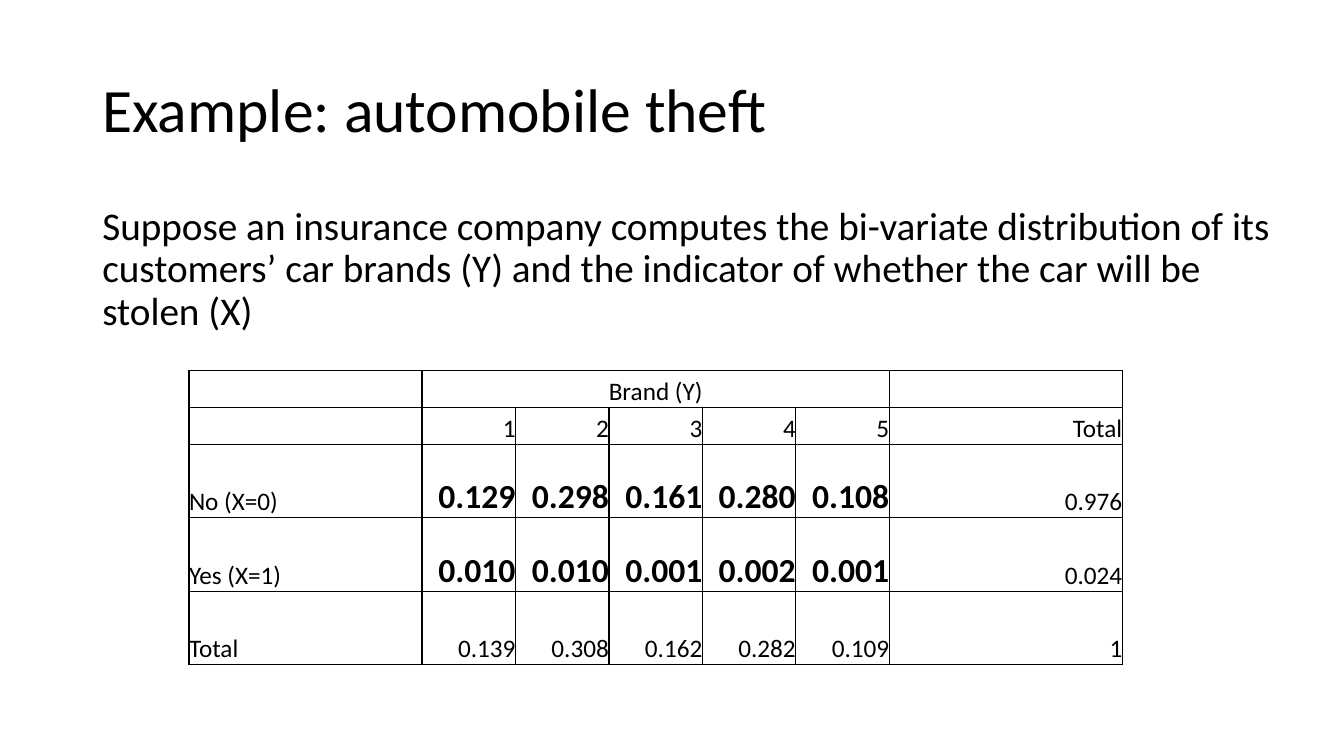
"""Build the automobile theft slide with its bi-variate distribution table."""
from lxml.etree import SubElement
from pptx import Presentation
from pptx.dml.color import RGBColor
from pptx.enum.text import MSO_ANCHOR as Anchor, PP_ALIGN as Align
from pptx.oxml.ns import qn
from pptx.util import Pt

PX = 9525
BLACK = RGBColor(0, 0, 0)
FONT = "Calibri"
COLUMN_WIDTHS = [222, 89, 89, 89, 89, 89, 222]
ROW_HEIGHTS = [35, 35, 70, 70, 70]
ROWS = [
    ["", "Brand (Y)", "", "", "", "", ""],
    ["", "1", "2", "3", "4", "5", "Total"],
    ["No (X=0)", "0.129", "0.298", "0.161", "0.280", "0.108", "0.976"],
    ["Yes (X=1)", "0.010", "0.010", "0.001", "0.002", "0.001", "0.024"],
    ["Total", "0.139", "0.308", "0.162", "0.282", "0.109", "1"],
]
TEXTS = [
    ("Example: automobile theft", (88, 38, 1104, 139), 44, Anchor.MIDDLE),
    ("Suppose an insurance company computes the bi-variate distribution of its "
     "customers’ car brands (Y) and the indicator of whether the car will be "
     "stolen (X)", (88, 192, 1154, 457), 28, Anchor.TOP),
]


def style(para, size, bold=False):
    """Set the font of a whole paragraph."""
    para.font.name = FONT
    para.font.size = Pt(size)
    para.font.bold = bold
    para.font.color.rgb = BLACK


def add_borders(cell):
    """Draw a thin black line on each side of a cell."""
    properties = cell._tc.get_or_add_tcPr()
    for side in ("lnL", "lnR", "lnT", "lnB"):
        line = SubElement(properties, qn(f"a:{side}"), w=str(Pt(1)))
        fill = SubElement(line, qn("a:solidFill"))
        SubElement(fill, qn("a:srgbClr"), val=str(BLACK))


deck = Presentation()
deck.slide_width = 1280 * PX
deck.slide_height = 720 * PX
page = deck.slides.add_slide(deck.slide_layouts[6])

for text, bounds, size, anchor in TEXTS:
    box = page.shapes.add_textbox(*(length * PX for length in bounds))
    frame = box.text_frame
    frame.word_wrap = True
    frame.vertical_anchor = anchor
    para = frame.paragraphs[0]
    para.text = text
    para.line_spacing = 0.9
    style(para, size)

table = page.shapes.add_table(
    len(ROWS), len(COLUMN_WIDTHS), 180 * PX, 353 * PX,
    sum(COLUMN_WIDTHS) * PX, sum(ROW_HEIGHTS) * PX).table
table.first_row = False
table.horz_banding = False
for column, width in zip(table.columns, COLUMN_WIDTHS):
    column.width = width * PX
for row, height in zip(table.rows, ROW_HEIGHTS):
    row.height = height * PX

for row_index, values in enumerate(ROWS):
    for column_index, value in enumerate(values):
        cell = table.cell(row_index, column_index)
        cell.margin_left = cell.margin_right = 0
        cell.margin_top = cell.margin_bottom = 0
        cell.vertical_anchor = Anchor.BOTTOM
        add_borders(cell)
        cell.fill.background()
        para = cell.text_frame.paragraphs[0]
        para.text = value
        para.alignment = Align.RIGHT if column_index else Align.LEFT
        joint = row_index in (2, 3) and 1 <= column_index <= 5
        style(para, 24 if joint else 18, joint)

brand = table.cell(0, 1)
brand.merge(table.cell(0, 5))
brand.text_frame.paragraphs[0].alignment = Align.CENTER

deck.save("out.pptx")
